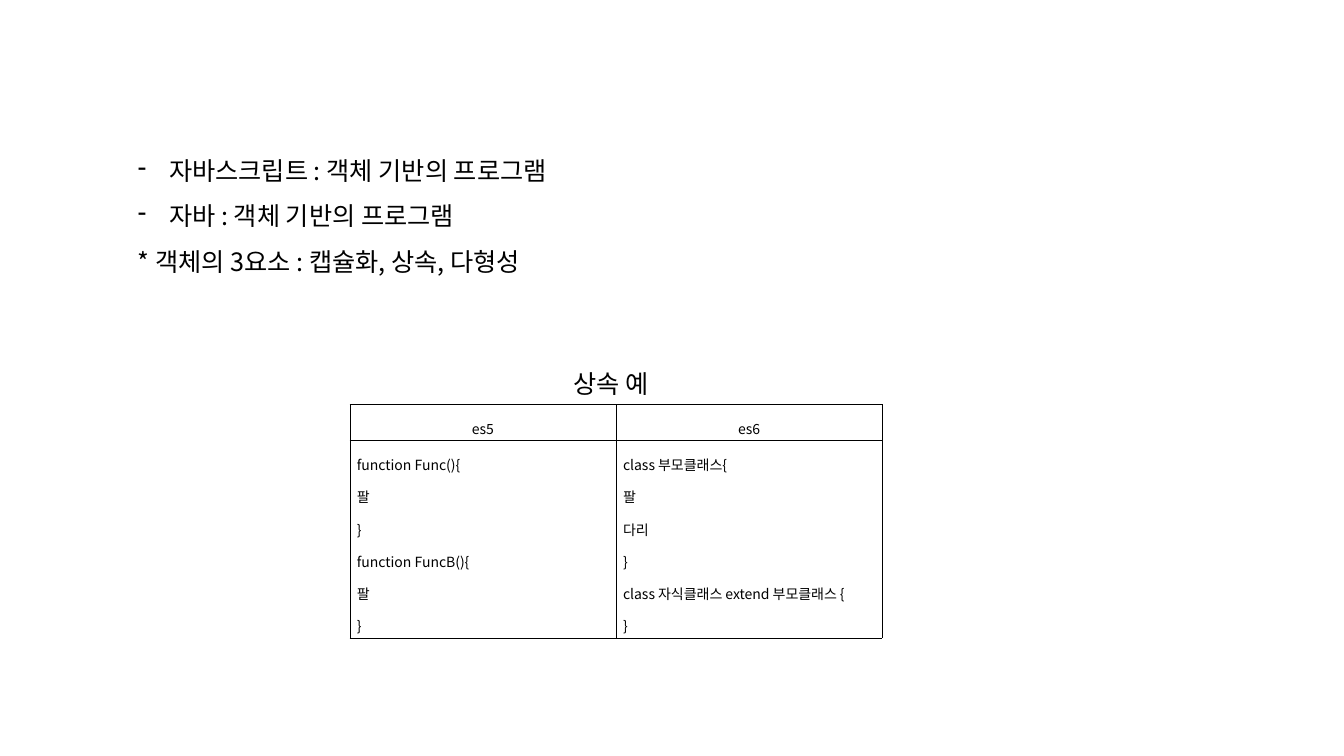
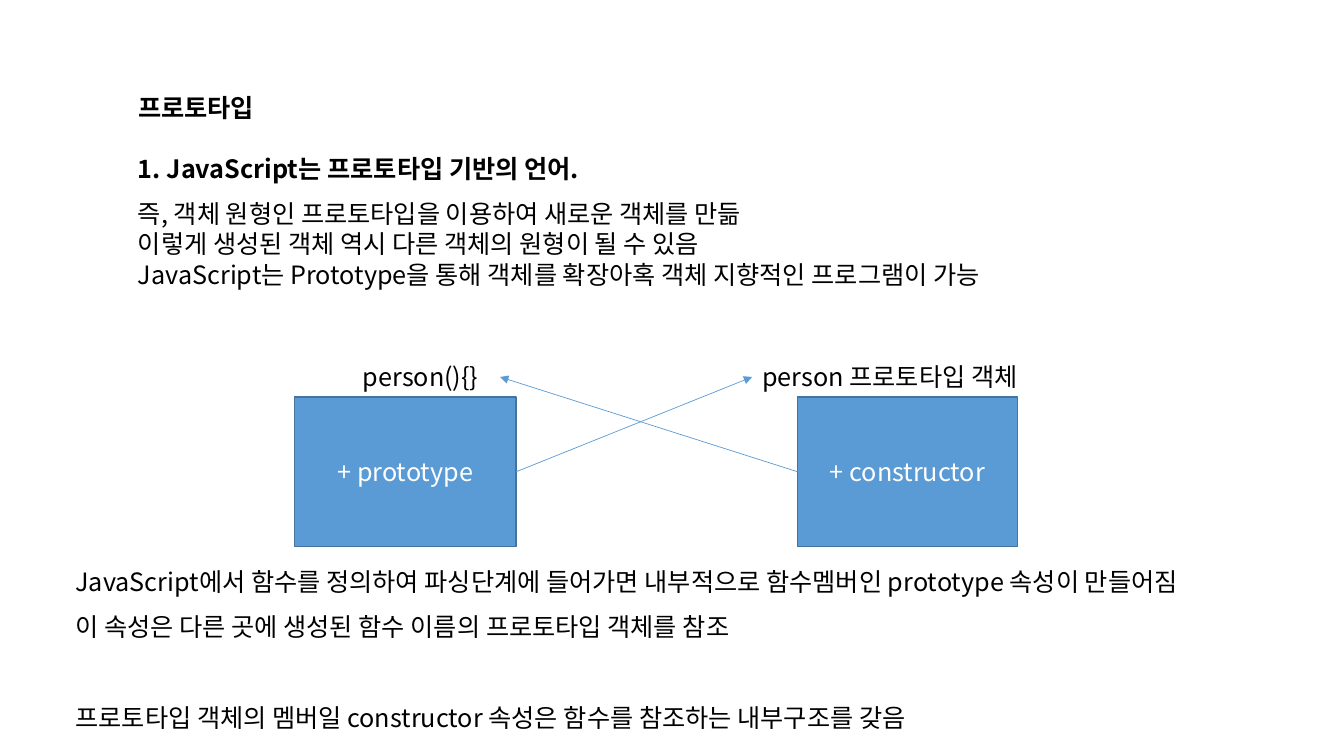
from lxml.etree import SubElement
from pptx import Presentation
from pptx.dml.color import RGBColor
from pptx.enum.shapes import MSO_CONNECTOR as Connector, MSO_SHAPE as Preset
from pptx.enum.text import MSO_ANCHOR as Anchor, MSO_AUTO_SIZE as AutoSize, PP_ALIGN as Align
from pptx.oxml import parse_xml
from pptx.oxml.ns import nsdecls, qn
from pptx.util import Inches, Pt

# Shared style
FONT = "Noto Sans CJK KR"
BLACK, WHITE, BLUE, DARK_BLUE = "000000", "FFFFFF", "5B9BD5", "43739E"
SIZE, CODE_SIZE = 18, 10
LINE = Pt(21.6)
WIDE_LINE = Pt(32.4)
CODE_LINE = 1.6
LABEL_HEIGHT = 0.4
BULLET_INDENT = 0.31
TITLE_ONLY, BLANK = 5, 6

# Content: each line is (text, format values)
WIDE = {"line_spacing": WIDE_LINE}
OBJECT_LINES = [
    ("자바스크립트 : 객체 기반의 프로그램", {**WIDE, "bullet": "-"}),
    ("자바 : 객체 기반의 프로그램", {**WIDE, "bullet": "-"}),
    ("* 객체의 3요소 : 캡슐화, 상속, 다형성", WIDE),
]
CAPTION = "상속 예"
CODE_TABLE = {
    "es5": ["function Func(){", "팔", "}", "function FuncB(){", "팔", "}"],
    "es6": ["class 부모클래스{", "팔", "다리", "}",
            "class 자식클래스 extend 부모클래스 {", "}"],
}
TITLE = "프로토타입"
PROTOTYPE_LINES = [
    ("1. JavaScript는 프로토타입 기반의 언어.", {"bold": True}),
    ("즉, 객체 원형인 프로토타입을 이용하여 새로운 객체를 만듦", WIDE),
    ("이렇게 생성된 객체 역시 다른 객체의 원형이 될 수 있음", {}),
    ("JavaScript는 Prototype을 통해 객체를 확장아혹 객체 지향적인 프로그램이 가능", {}),
]
SUMMARY_LINES = [
    ("JavaScript에서 함수를 정의하여 파싱단계에 들어가면 내부적으로 함수멤버인 "
     "prototype 속성이 만들어짐", WIDE),
    ("이 속성은 다른 곳에 생성된 함수 이름의 프로토타입 객체를 참조", WIDE),
    ("프로토타입 객체의 멤버일 constructor 속성은 함수를 참조하는 내부구조를 갖음",
     {**WIDE, "space_before": WIDE_LINE}),
]
# Box text, box left and width, label text, label left and width
DIAGRAM = [
    ("+ prototype", 2.92, 2.2, "person(){}", 3.5, 1.46),
    ("+ constructor", 7.91, 2.18, "person 프로토타입 객체", 7.46, 3.12),
]

# Places in inches
TEXT_LEFT = 1.27
TITLE_TOP, BODY_TOP, BODY_WIDTH = 0.87, 1.47, 11.12
BOX_TOP, BOX_HEIGHT = 3.94, 1.48
TABLE_LEFT, TABLE_TOP, COLUMN_WIDTH = 3.47, 4.01, 2.64
ROW_HEIGHTS = (0.22, 1.51)


def color(hex_text):
    """Turn a hex string into a colour."""
    return RGBColor.from_string(hex_text)


def assign(target, values):
    """Set attributes from a dict of values."""
    for name, value in values.items():
        setattr(target, name, value)


def add_bullet(paragraph, character):
    """Give a paragraph a hanging bullet."""
    properties = paragraph._p.get_or_add_pPr()
    indent = Inches(BULLET_INDENT)
    properties.set("marL", str(indent))
    properties.set("indent", str(-indent))
    SubElement(properties, qn("a:buFontTx"))
    SubElement(properties, qn("a:buChar"), char=character)


def write(frame, lines, size=SIZE, ink=BLACK, **shared):
    """Fill a text frame with formatted lines."""
    for index, (text, own) in enumerate(lines):
        paragraph = frame.add_paragraph() if index else frame.paragraphs[0]
        values = {"line_spacing": LINE, **shared, **own}
        bullet, bold = values.pop("bullet", None), values.pop("bold", False)
        assign(paragraph, values)
        if bullet:
            add_bullet(paragraph, bullet)
        run = paragraph.add_run()
        run.text = text
        assign(run.font, {"name": FONT, "size": Pt(size), "bold": bold})
        run.font.color.rgb = color(ink)
        SubElement(run._r.get_or_add_rPr(), qn("a:ea"), typeface=FONT)


def add_text(slide, lines, left, top, width, height):
    """Add a wrapping text box and return it."""
    box = slide.shapes.add_textbox(*map(Inches, (left, top, width, height)))
    box.text_frame.word_wrap = True
    write(box.text_frame, lines)
    return box


def add_title(slide, text):
    """Move and format the title placeholder."""
    title = slide.shapes.title
    assign(title, {"left": Inches(TEXT_LEFT), "top": Inches(TITLE_TOP),
                   "width": Inches(BODY_WIDTH), "height": Inches(LABEL_HEIGHT)})
    assign(title.text_frame, {"auto_size": AutoSize.NONE, "vertical_anchor": Anchor.TOP})
    write(title.text_frame, [(text, {"bold": True})], alignment=Align.LEFT)


def add_box(slide, text, left, width):
    """Add a filled diagram box."""
    box = slide.shapes.add_shape(
        Preset.RECTANGLE, *map(Inches, (left, BOX_TOP, width, BOX_HEIGHT)))
    box.shadow.inherit = False
    box.fill.solid()
    box.fill.fore_color.rgb = color(BLUE)
    box.line.color.rgb = color(DARK_BLUE)
    box.line.width = Pt(1)
    box.text_frame.vertical_anchor = Anchor.MIDDLE
    write(box.text_frame, [(text, {})], ink=WHITE, alignment=Align.CENTER)
    return box


def add_arrow(slide, start, start_site, end, end_site):
    """Connect two shapes with a thin arrow."""
    arrow = slide.shapes.add_connector(Connector.STRAIGHT, 0, 0, 0, 0)
    arrow.begin_connect(start, start_site)
    arrow.end_connect(end, end_site)
    arrow.line.color.rgb = color(BLUE)
    arrow.line.width = Pt(0.5)
    SubElement(arrow.line._get_or_add_ln(), qn("a:tailEnd"), type="triangle")
    SubElement(arrow._element.spPr, qn("a:effectLst"))


def format_cell(cell, lines, alignment):
    """Write a bordered cell without a fill."""
    assign(cell, {"margin_left": Inches(0.07), "margin_right": Inches(0.07),
                  "margin_top": Inches(0.02), "margin_bottom": Inches(0.02),
                  "vertical_anchor": Anchor.MIDDLE})
    cell.fill.background()
    properties = cell._tc.get_or_add_tcPr()
    for index, side in enumerate("LRTB"):
        properties.insert(index, parse_xml(
            f'<a:ln{side} {nsdecls("a")} w="{Pt(0.28)}"><a:solidFill>'
            f'<a:srgbClr val="{BLACK}"/></a:solidFill></a:ln{side}>'))
    write(cell.text_frame, [(line, {}) for line in lines], CODE_SIZE,
          line_spacing=CODE_LINE, alignment=alignment)


def add_code_table(slide, columns):
    """Add a table with one heading and one code cell per column."""
    table = slide.shapes.add_table(
        len(ROW_HEIGHTS), len(columns), Inches(TABLE_LEFT), Inches(TABLE_TOP),
        Inches(COLUMN_WIDTH * len(columns)), Inches(sum(ROW_HEIGHTS))).table
    assign(table, {"first_row": False, "horz_banding": False})
    for row, height in zip(table.rows, ROW_HEIGHTS):
        row.height = Inches(height)
    for index, (heading, code) in enumerate(columns.items()):
        table.columns[index].width = Inches(COLUMN_WIDTH)
        format_cell(table.cell(0, index), [heading], Align.CENTER)
        format_cell(table.cell(1, index), code, Align.JUSTIFY)


def build_inheritance(presentation):
    """Build the slide on objects and inheritance."""
    slide = presentation.slides.add_slide(presentation.slide_layouts[BLANK])
    add_code_table(slide, CODE_TABLE)
    add_text(slide, OBJECT_LINES, TEXT_LEFT, 1.34, 4.72, 1.41)
    add_text(slide, [(CAPTION, {})], 5.59, TABLE_TOP - LABEL_HEIGHT, 1.05, LABEL_HEIGHT)


def build_prototype(presentation):
    """Build the slide on prototypes."""
    slide = presentation.slides.add_slide(presentation.slide_layouts[TITLE_ONLY])
    add_title(slide, TITLE)
    add_text(slide, PROTOTYPE_LINES, TEXT_LEFT, BODY_TOP, BODY_WIDTH, 1.77)
    boxes, labels = [], []
    for text, left, width, label, label_left, label_width in DIAGRAM:
        boxes.append(add_box(slide, text, left, width))
        labels.append(add_text(slide, [(label, {})], label_left,
                               BOX_TOP - LABEL_HEIGHT, label_width, LABEL_HEIGHT))
    add_text(slide, SUMMARY_LINES, 0.65, BOX_TOP + BOX_HEIGHT, 12.08, 1.92)
    left_side, right_side = 1, 3
    add_arrow(slide, boxes[1], left_side, labels[0], right_side)
    add_arrow(slide, boxes[0], right_side, labels[1], left_side)


presentation = Presentation()
assign(presentation, {"slide_width": Inches(13.33), "slide_height": Inches(7.5)})
build_inheritance(presentation)
build_prototype(presentation)
presentation.save("out.pptx")
